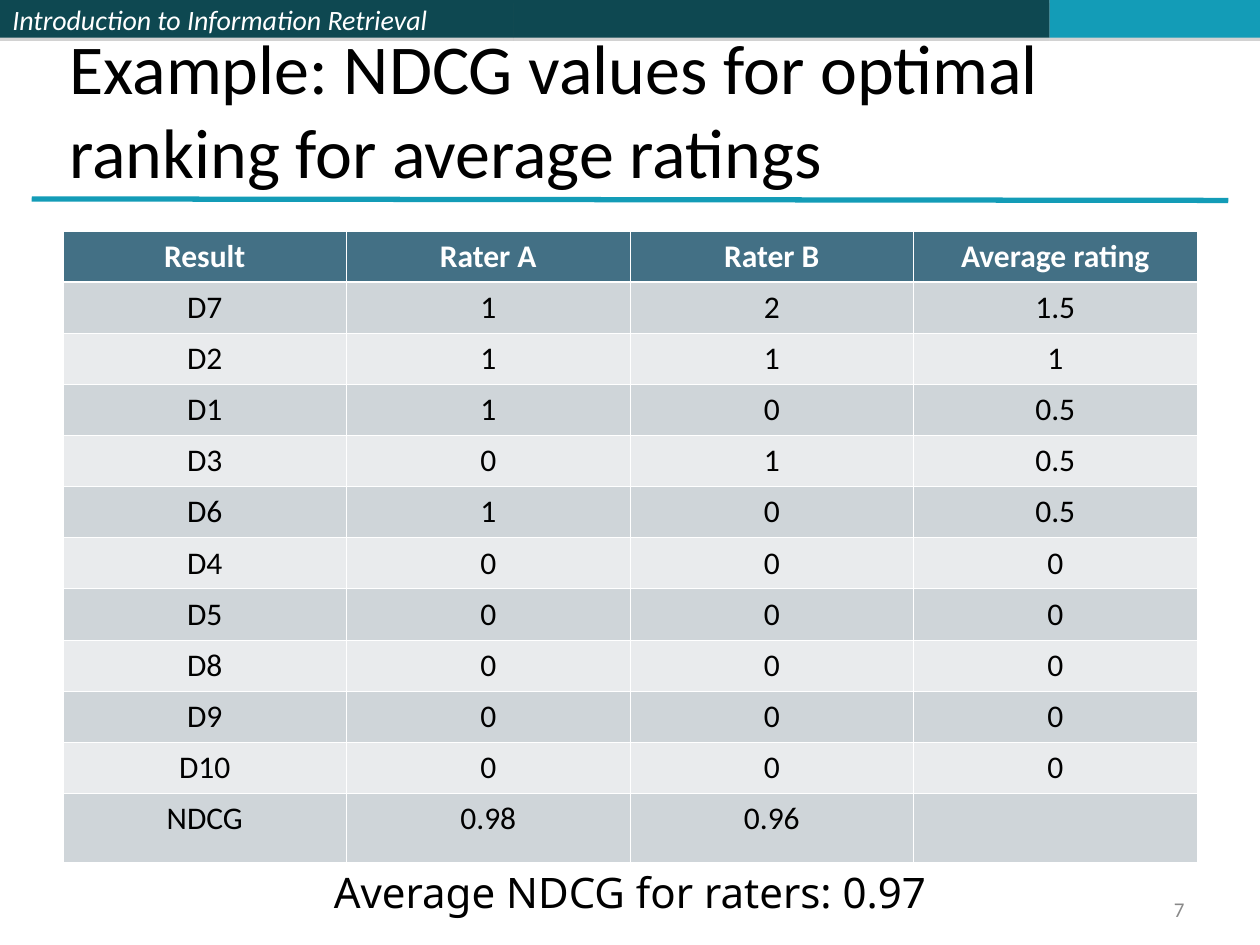
import pptx
import pptx.dml.color
import pptx.enum.shapes
import pptx.enum.text
import pptx.oxml
import pptx.oxml.ns
import pptx.util
from pptx.util import Cm

ALIGN = pptx.enum.text.PP_ALIGN
ANCHOR = pptx.enum.text.MSO_ANCHOR
NS = pptx.oxml.ns.nsdecls("a")


def color(code):
    return pptx.dml.color.RGBColor.from_string(code)


class Deck:
    font = "Calibri"
    black, white, gray = "000000", "FFFFFF", "898989"
    dark, accent = "0E4851", "139CB7"
    head, bands = "437085", ("CFD5D9", "E9EBED")

    def __init__(self, width, height):
        self.prs = pptx.Presentation()
        self.prs.slide_width, self.prs.slide_height = Cm(width), Cm(height)
        self.s = self.prs.slides.add_slide(self.prs.slide_layouts[6])

    def fill_text(self, tf, text, size, code, align=ALIGN.LEFT, font=None,
                  bold=False, italic=False):
        tf.text = text
        p = tf.paragraphs[0]
        p.alignment = align
        for r in p.runs:
            r.font.name = font or self.font
            r.font.size = pptx.util.Pt(size)
            r.font.bold, r.font.italic = bold, italic
            r.font.color.rgb = color(code)

    def bar(self, x, y, w, h, code):
        sp = self.s.shapes.add_shape(
            pptx.enum.shapes.MSO_SHAPE.RECTANGLE, Cm(x), Cm(y), Cm(w), Cm(h))
        sp.fill.solid()
        sp.fill.fore_color.rgb = color(code)
        sp.line.fill.background()
        sp.shadow.inherit = False
        # Thin gray shadow straight below the bar
        effects = sp._element.spPr.find(pptx.oxml.ns.qn("a:effectLst"))
        effects.append(pptx.oxml.parse_xml(
            f'<a:outerShdw {NS} blurRad="0" dist="22860" dir="5400000">'
            '<a:srgbClr val="808080"><a:alpha val="35000"/></a:srgbClr>'
            '</a:outerShdw>'))
        return sp

    def rule(self, x1, y1, x2, y2, code, width):
        line = self.s.shapes.add_connector(
            pptx.enum.shapes.MSO_CONNECTOR.STRAIGHT,
            Cm(x1), Cm(y1), Cm(x2), Cm(y2))
        line.line.color.rgb = color(code)
        line.line.width = pptx.util.Pt(width)
        line._element.spPr.append(pptx.oxml.parse_xml(f"<a:effectLst {NS}/>"))

    def text(self, x, y, w, h, text, size, code, anchor=ANCHOR.TOP,
             wrap=True, **style):
        tf = self.s.shapes.add_textbox(Cm(x), Cm(y), Cm(w), Cm(h)).text_frame
        tf.word_wrap = wrap
        tf.vertical_anchor = anchor
        self.fill_text(tf, text, size, code, **style)
        return tf

    def borders(self, cell, **widths):
        tc_pr = cell._tc.get_or_add_tcPr()
        for i, side in enumerate("LRTB"):
            width = pptx.util.Pt(widths.get(side, 0.45))
            tc_pr.insert(i, pptx.oxml.parse_xml(
                f'<a:ln{side} {NS} w="{width}"><a:solidFill>'
                f'<a:srgbClr val="{self.white}"/></a:solidFill></a:ln{side}>'))

    def table(self, x, y, w, rows, row_height, last_height):
        n = len(rows)
        height = row_height * (n - 1) + last_height
        table = self.s.shapes.add_table(
            n, len(rows[0]), Cm(x), Cm(y), Cm(w), Cm(height)).table
        for column in table.columns:
            column.width = Cm(w / len(rows[0]))
        for i, values in enumerate(rows):
            table.rows[i].height = Cm(last_height if i == n - 1 else row_height)
            for j, value in enumerate(values):
                cell = table.cell(i, j)
                cell.fill.solid()
                cell.fill.fore_color.rgb = color(
                    self.bands[(i - 1) % 2] if i else self.head)
                self.fill_text(cell.text_frame, value, 18,
                               self.black if i else self.white,
                               align=ALIGN.CENTER, bold=i == 0)
                heavy = {0: {"B": 1.47}, 1: {"T": 1.47}}.get(i, {})
                self.borders(cell, **heavy)


def main():
    d = Deck(25.4, 19.05)

    # Header band
    sp = d.bar(0, 0, 10.36, 0.76, d.dark)
    d.fill_text(sp.text_frame, "Introduction to Information Retrieval", 16,
                d.white, italic=True)
    sp.text_frame.vertical_anchor = ANCHOR.MIDDLE
    d.bar(10.36, 0, 10.8, 0.76, d.dark)
    d.bar(21.16, 0, 4.24, 0.76, d.accent)

    # Title and rule
    d.rule(0.64, 4.01, 24.76, 4.04, d.accent, 3)
    tf = d.text(1.27, 0.76, 22.86, 3.18,
                "Example: NDCG values for optimal ranking for average ratings",
                40, d.black, anchor=ANCHOR.BOTTOM)
    tf.margin_left = tf.margin_right = Cm(0.13)
    tf.margin_top = tf.margin_bottom = Cm(0.06)

    # Ratings table
    d.table(1.27, 4.66, 22.86, [
        ("Result", "Rater A", "Rater B", "Average rating"),
        ("D7", "1", "2", "1.5"),
        ("D2", "1", "1", "1"),
        ("D1", "1", "0", "0.5"),
        ("D3", "0", "1", "0.5"),
        ("D6", "1", "0", "0.5"),
        *[(name, "0", "0", "0") for name in ("D4", "D5", "D8", "D9", "D10")],
        ("NDCG", "0.98", "0.96", ""),
    ], row_height=1.03, last_height=1.4)

    # Page number and summary
    d.text(18.21, 17.98, 5.92, 0.69, "7", 12, d.gray,
           anchor=ANCHOR.MIDDLE, align=ALIGN.RIGHT)
    d.text(6.48, 17.35, 12.5, 1.27, "Average NDCG for raters: 0.97", 24,
           d.black, wrap=False, font="Noto Sans")

    d.prs.save("out.pptx")


if __name__ == "__main__":
    main()
